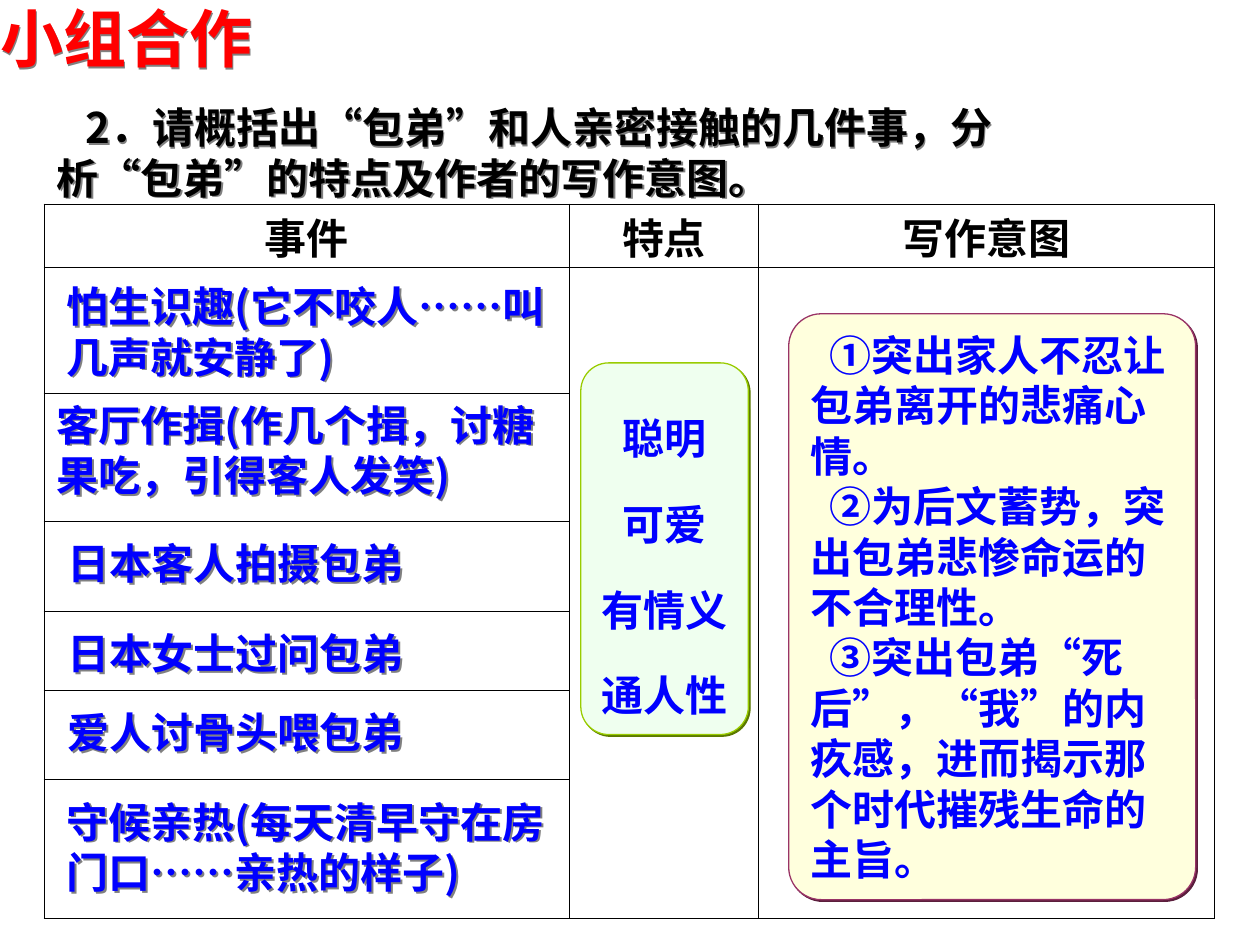
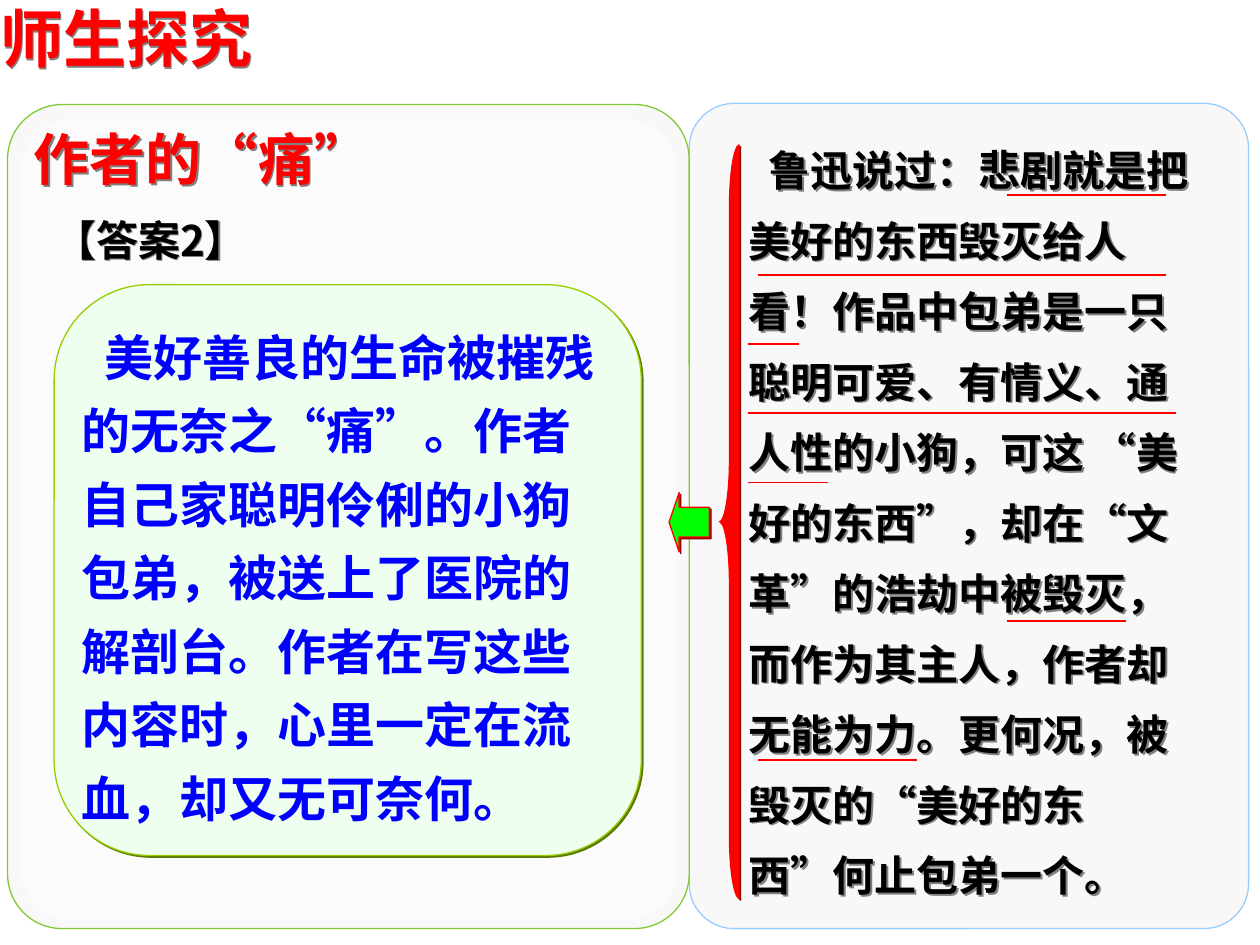
from lxml import etree
from pptx import Presentation
from pptx.dml.color import RGBColor
from pptx.enum import shapes, text
from pptx.oxml import ns
from pptx.util import Inches, Pt

COLORS = {
    "black": "000000", "white": "FFFFFF", "red": "FF0000", "blue": "0000FF",
    "green": "00FF00", "mint": "EFFFEF", "lime": "99CC00", "olive": "5B7900",
    "cream": "FFFFDD", "plum": "993366", "wine": "5B1E3C", "maroon": "980000",
    "mist": "F8F8F8", "sky": "99CCFF", "leaf": "80CB35", "gray": "808080",
}
BODY_FONT = "Noto Sans CJK SC"
TITLE_FONT = "Arial"
LINE_HEIGHT = 1.2
KIND = shapes.MSO_SHAPE


def color(name):
    return RGBColor.from_string(COLORS[name])


def add_child(parent, tag, **attributes):
    child = etree.SubElement(parent, ns.qn(tag))
    for key, value in attributes.items():
        child.set(key, str(value))
    return child


def add_shadow(shape, name):
    properties = shape._element.spPr
    for effects in properties.findall(ns.qn("a:effectLst")):
        properties.remove(effects)
    effects = add_child(properties, "a:effectLst")
    outer = add_child(effects, "a:outerShdw", dist=Pt(1.4), dir=45 * 60000, algn="ctr", rotWithShape=0)
    add_child(outer, "a:srgbClr", val=COLORS[name])


def add_span(para, content, size, ink, font):
    span = para.add_run()
    span.text = content
    span.font.size = Pt(size)
    span.font.bold = True
    span.font.color.rgb = color(ink)
    span.font.name = font
    east_asian = etree.Element(ns.qn("a:ea"))
    east_asian.set("typeface", BODY_FONT)
    span._r.rPr.find(ns.qn("a:latin")).addnext(east_asian)
    span._r.rPr.set("lang", "zh-CN")


def write_text(frame, content, size=24, ink="black", font=BODY_FONT, spacing=1.0,
               indent=0, center=False):
    for index, line in enumerate(content.split("\n")):
        para = frame.paragraphs[0] if index == 0 else frame.add_paragraph()
        para.alignment = text.PP_ALIGN.CENTER if center else text.PP_ALIGN.LEFT
        para.line_spacing = Pt(round(size * LINE_HEIGHT * spacing, 1))
        para.space_before = Pt(0)
        if indent:
            properties = para._p.get_or_add_pPr()
            properties.set("marL", "0")
            properties.set("indent", str(Inches(indent)))
        for part, piece in enumerate(line.split("\v")):
            if part:
                para.add_line_break()
            add_span(para, piece, size, ink, font)


def set_margins(holder, side, top, bottom):
    holder.margin_left = holder.margin_right = Inches(side)
    holder.margin_top, holder.margin_bottom = Inches(top), Inches(bottom)


def fill_frame(shape, content, side=0.1, edge=0.05, **style):
    frame = shape.text_frame
    frame.word_wrap = True
    frame.vertical_anchor = text.MSO_ANCHOR.TOP
    set_margins(frame, side, edge, edge)
    write_text(frame, content, **style)


def add_text(page, place, content, **style):
    box = page.shapes.add_textbox(*map(Inches, place))
    add_shadow(box, "gray")
    fill_frame(box, content, **style)


def add_title(page, content):
    add_text(page, (0, 0, 3.35, 0.6), content, side=0, edge=0, size=36, ink="red", font=TITLE_FONT)


def add_figure(page, kind, place, fill, line=None, shadow=None, adjust=(), alpha=None):
    shape = page.shapes.add_shape(kind, *map(Inches, place))
    shape.shadow.inherit = False
    for index, value in enumerate(adjust):
        shape.adjustments[index] = value
    shape.fill.solid()
    shape.fill.fore_color.rgb = color(fill)
    if alpha:
        tint = shape._element.spPr.find(ns.qn("a:solidFill"))[0]
        add_child(tint, "a:alpha", val=alpha * 1000)
    if line:
        shape.line.color.rgb = color(line)
        shape.line.width = Pt(0.75)
    else:
        shape.line.fill.background()
    if shadow:
        add_shadow(shape, shadow)
    return shape


def add_underline(page, left, right, top):
    line = page.shapes.add_connector(shapes.MSO_CONNECTOR.STRAIGHT, *map(Inches, (left, top, right, top)))
    line.line.color.rgb = color("red")
    line.line.width = Pt(1)
    add_child(line._element.spPr, "a:effectLst")


def add_borders(cell):
    properties = cell._tc.get_or_add_tcPr()
    for index, side in enumerate(("a:lnL", "a:lnR", "a:lnT", "a:lnB")):
        border = etree.Element(ns.qn(side))
        border.set("w", str(Pt(0.75)))
        add_child(add_child(border, "a:solidFill"), "a:srgbClr", val=COLORS["black"])
        properties.insert(index, border)


def add_event_table(page, headings, widths, heights):
    place = (0.35, 1.62, sum(widths), sum(heights))
    table = page.shapes.add_table(len(heights), len(widths), *map(Inches, place)).table
    table.first_row = table.horz_banding = False
    for column, width in zip(table.columns, widths):
        column.width = Inches(width)
    for row, height in zip(table.rows, heights):
        row.height = Inches(height)
        for cell in row.cells:
            cell.fill.background()
            add_borders(cell)
    for index, heading in enumerate(headings):
        cell = table.cell(0, index)
        cell.vertical_anchor = text.MSO_ANCHOR.BOTTOM
        set_margins(cell, 0.1, 0.1, 0)
        write_text(cell.text_frame, heading, center=True)
    for index in (1, 2):
        table.cell(1, index).merge(table.cell(len(heights) - 1, index))


def build_group_work(page):
    add_title(page, "小组合作")
    add_text(page, (0.35, 0.76, 7.87, 0.9),
             "2．请概括出“包弟”和人亲密接触的几件事，分析“包弟”的特点及作者的写作意图。", indent=0.23)
    add_event_table(page, ("事件", "特点", "写作意图"), (4.17, 1.5, 3.62),
                    (0.5, 1, 1.02, 0.71, 0.63, 0.71, 1.1))
    events = (
        (0.43, 2.18, 0.9, "怕生识趣(它不咬人……叫几声就安静了)"),
        (0.35, 3.12, 0.9, "客厅作揖(作几个揖，讨糖果吃，引得客人发笑)"),
        (0.44, 4.22, 0.5, "日本客人拍摄包弟"),
        (0.44, 4.93, 0.5, "日本女士过问包弟"),
        (0.44, 5.56, 0.5, "爱人讨骨头喂包弟"),
        (0.43, 6.27, 0.9, "守候亲热(每天清早守在房门口……亲热的样子)"),
    )
    for left, top, height, event in events:
        add_text(page, (left, top, 4, height), event, ink="blue")
    traits = add_figure(page, KIND.ROUNDED_RECTANGLE, (4.61, 2.88, 1.33, 2.95),
                        "mint", "lime", "olive", (0.167,))
    fill_frame(traits, "聪明\n可爱\n有情义\n通人性", ink="blue", spacing=1.7, center=True)
    intent = add_figure(page, KIND.ROUNDED_RECTANGLE, (6.26, 2.49, 3.23, 4.65),
                        "cream", "plum", "wine", (0.08,))
    fill_frame(intent, "①突出家人不忍让包弟离开的悲痛心情。\n"
                       "②为后文蓄势，突出包弟悲惨命运的不合理性。\n"
                       "③突出包弟“死后”，“我”的内疚感，进而揭示那个时代摧残生命的主旨。",
               ink="blue", indent=0.15)


def build_exploration(page):
    add_figure(page, KIND.ROUNDED_RECTANGLE, (5.47, 0.82, 4.44, 6.55), "mist", "sky", adjust=(0.08,))
    add_text(page, (5.94, 0.99, 3.62, 6.16),
             "鲁迅说过：悲剧就是把美好的东西毁灭给人\v看！作品中包弟是一只聪明可爱、有情义、"
             "通人性的小狗，可这 “美好的东西”，却在“文革”的浩劫中被毁灭，而作为其主人，"
             "作者却无能为力。更何况，被毁灭的“美好的东西”何止包弟一个。",
             side=0, edge=0, spacing=1.4, indent=0.16)
    add_figure(page, KIND.ROUNDED_RECTANGLE, (0.06, 0.83, 5.41, 6.54), "mist", "leaf", adjust=(0.08,))
    add_figure(page, KIND.ROUNDED_RECTANGLE, (0.17, 0.94, 5.2, 6.37), "white", adjust=(0.08,), alpha=50)
    add_title(page, "师生探究")
    answer = add_figure(page, KIND.ROUNDED_RECTANGLE, (0.43, 2.26, 4.66, 4.53),
                        "mint", "lime", "olive", (0.167,))
    fill_frame(answer, "美好善良的生命被摧残的无奈之“痛”。作者自己家聪明伶俐的小狗包弟，"
                       "被送上了医院的解剖台。作者在写这些内容时，心里一定在流血，却又无可奈何。",
               side=0, edge=0, size=28, ink="blue", spacing=1.25, indent=0.18)
    add_text(page, (0.27, 0.99, 3.2, 0.53), "作者的“痛”", side=0, edge=0, size=32, ink="red")
    add_figure(page, KIND.LEFT_BRACE, (5.71, 1.15, 0.16, 5.98), "red", "red", "maroon", (3.12, 0.5))
    add_figure(page, KIND.LEFT_ARROW, (5.31, 3.91, 0.32, 0.47), "green", "red", "maroon", (0.5, 0.25))
    underlines = (
        (7.99, 9.25, 1.55), (6.02, 9.25, 2.18), (5.94, 6.34, 2.73), (5.94, 9.33, 3.28),
        (5.94, 6.57, 3.83), (7.99, 8.94, 4.93), (6.02, 7.28, 6.03),
    )
    for left, right, top in underlines:
        add_underline(page, left, right, top)
    add_text(page, (0.43, 1.7, 1.89, 0.4), "【答案2】", side=0, edge=0)


def main():
    deck = Presentation()
    deck.slide_width, deck.slide_height = Inches(10), Inches(7.5)
    for build in (build_group_work, build_exploration):
        build(deck.slides.add_slide(deck.slide_layouts[6]))
    deck.save("out.pptx")


if __name__ == "__main__":
    main()
